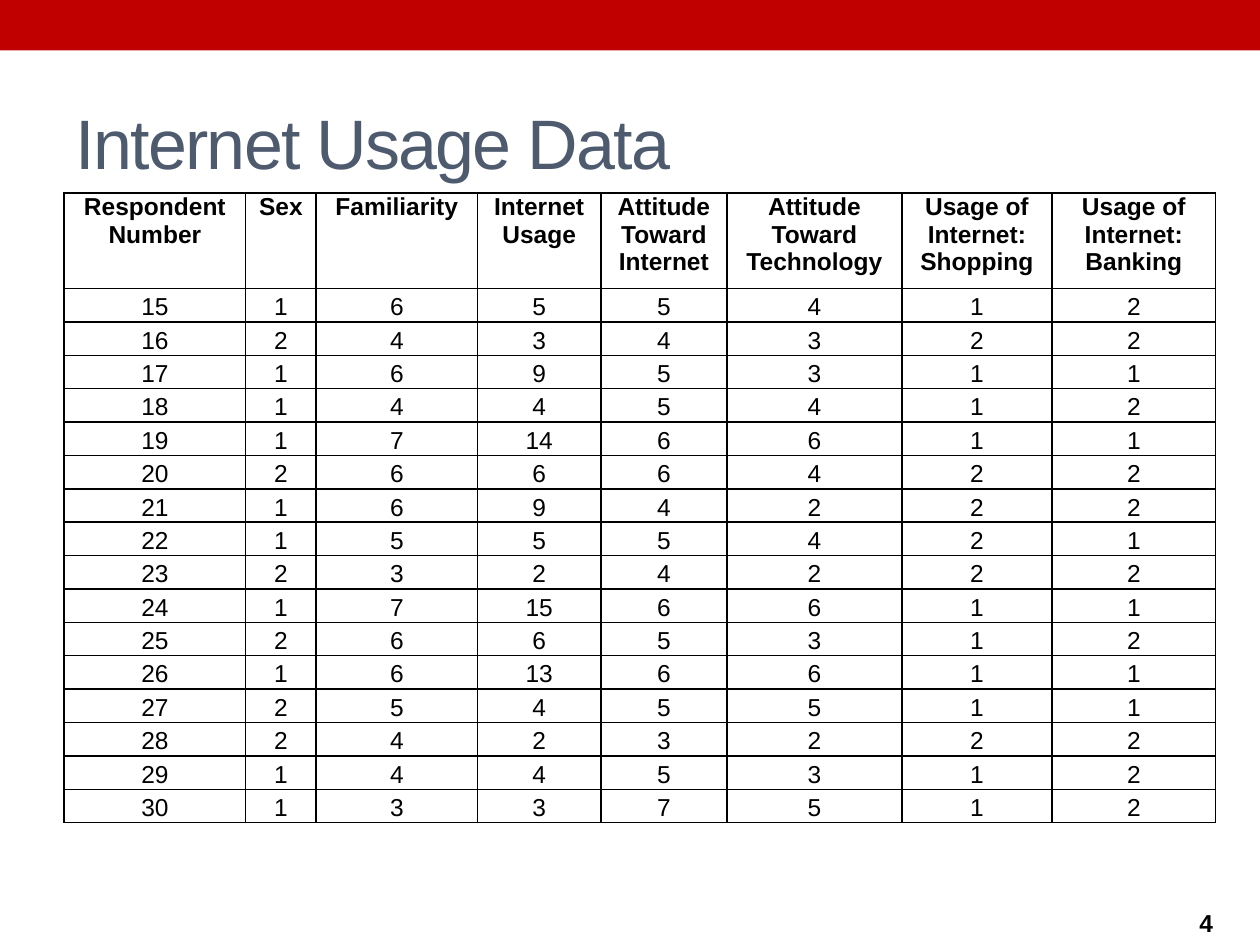
from pptx import Presentation, util as u
from pptx.dml.color import RGBColor
from pptx.enum import shapes, text
from pptx.oxml import parse_xml
from pptx.oxml.ns import nsdecls

RED = RGBColor(0xC0, 0x00, 0x00)
SLATE = RGBColor(0x4E, 0x5B, 0x6F)
BLACK = RGBColor(0x00, 0x00, 0x00)

HEADS = [
    "Respondent\nNumber", "Sex", "Familiarity", "Internet\nUsage",
    "Attitude\nToward\nInternet", "Attitude\nToward\nTechnology",
    "Usage of\nInternet:\nShopping", "Usage of\nInternet:\nBanking",
]
WIDTHS = [1.44, 0.56, 1.28, 0.98, 1, 1.39, 1.19, 1.3]
FIRST = 15  # number of the first respondent
SCORES = [
    (1, 6, 5, 5, 4, 1, 2),
    (2, 4, 3, 4, 3, 2, 2),
    (1, 6, 9, 5, 3, 1, 1),
    (1, 4, 4, 5, 4, 1, 2),
    (1, 7, 14, 6, 6, 1, 1),
    (2, 6, 6, 6, 4, 2, 2),
    (1, 6, 9, 4, 2, 2, 2),
    (1, 5, 5, 5, 4, 2, 1),
    (2, 3, 2, 4, 2, 2, 2),
    (1, 7, 15, 6, 6, 1, 1),
    (2, 6, 6, 5, 3, 1, 2),
    (1, 6, 13, 6, 6, 1, 1),
    (2, 5, 4, 5, 5, 1, 1),
    (2, 4, 2, 3, 2, 2, 2),
    (1, 4, 4, 5, 3, 1, 2),
    (1, 3, 3, 7, 5, 1, 2),
]


class Page:
    face = "Arial"
    size = 14

    def __init__(self, deck):
        self.slide = deck.slides.add_slide(deck.slide_layouts[5])

    def style(self, para, size=None, color=BLACK, bold=False):
        font = para.font
        font.name, font.size, font.bold = self.face, u.Pt(size or self.size), bold
        font.color.rgb = color

    def bar(self, box, color):
        bar = self.slide.shapes.add_shape(
            shapes.MSO_SHAPE.RECTANGLE, *map(u.Inches, box))
        bar.shadow.inherit = False
        bar.fill.solid()
        bar.fill.fore_color.rgb = color
        bar.line.fill.background()

    def title(self, words, box):
        title = self.slide.shapes.title
        title.left, title.top, title.width, title.height = map(u.Inches, box)
        frame = title.text_frame
        frame.text = words
        frame.vertical_anchor = text.MSO_ANCHOR.MIDDLE
        para = frame.paragraphs[0]
        para.alignment = text.PP_ALIGN.LEFT
        self.style(para, 40, SLATE)
        para.runs[0].font._element.set("spc", "-100")

    def label(self, words, box):
        frame = self.slide.shapes.add_textbox(*map(u.Inches, box)).text_frame
        frame.word_wrap = True
        frame.vertical_anchor = text.MSO_ANCHOR.MIDDLE
        frame.text = words
        self.style(frame.paragraphs[0], bold=True)

    def table(self, rows, left, top, widths, head, body):
        """Add a ruled table; head and body are the row heights."""
        high = head + body * (len(rows) - 1)
        grid = self.slide.shapes.add_table(
            len(rows), len(widths), *map(u.Inches, (left, top, sum(widths), high))).table
        grid.first_row = grid.horz_banding = False
        for col, width in zip(grid.columns, widths):
            col.width = u.Inches(width)
        for i, row in enumerate(rows):
            grid.rows[i].height = u.Inches(body if i else head)
            for j, value in enumerate(row):
                self.cell(grid.cell(i, j), str(value), i == 0)

    def cell(self, cell, words, head):
        cell.margin_left = cell.margin_right = u.Inches(0.05)
        cell.margin_top = cell.margin_bottom = u.Pt(0.5)
        cell.text = words
        for para in cell.text_frame.paragraphs:
            para.alignment = text.PP_ALIGN.CENTER
            if not head:
                para.line_spacing = 1.15
            self.style(para, bold=head)
        props = cell._tc.get_or_add_tcPr()
        for side in ("lnL", "lnR", "lnT", "lnB"):
            props.append(parse_xml(
                f'<a:{side} {nsdecls("a")} w="{u.Pt(1)}"><a:solidFill>'
                f'<a:srgbClr val="{BLACK}"/></a:solidFill></a:{side}>'))
        cell.fill.background()


def main():
    deck = Presentation()
    deck.slide_width, deck.slide_height = u.Inches(10), u.Inches(7.5)
    page = Page(deck)
    page.bar((0, 0, 10, 0.4), RED)
    rows = [HEADS] + [(n, *row) for n, row in enumerate(SCORES, FIRST)]
    page.table(rows, 0.51, 1.53, WIDTHS, head=0.76, body=0.25)
    page.label("4", (9.42, 7.14, 1.17, 0.36))
    page.title("Internet Usage Data", (0.5, 0.58, 9, 1.08))
    deck.save("out.pptx")


if __name__ == "__main__":
    main()
